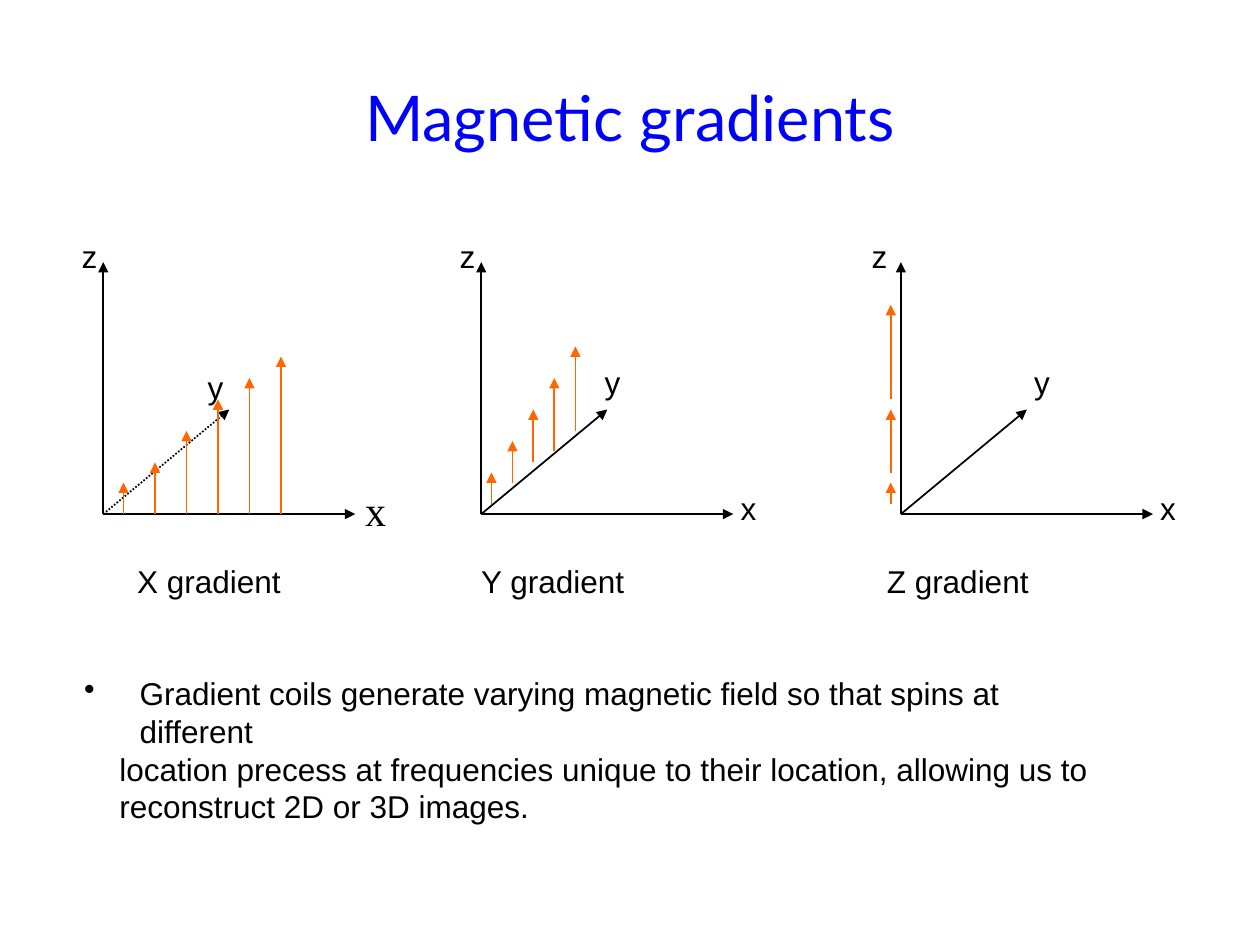
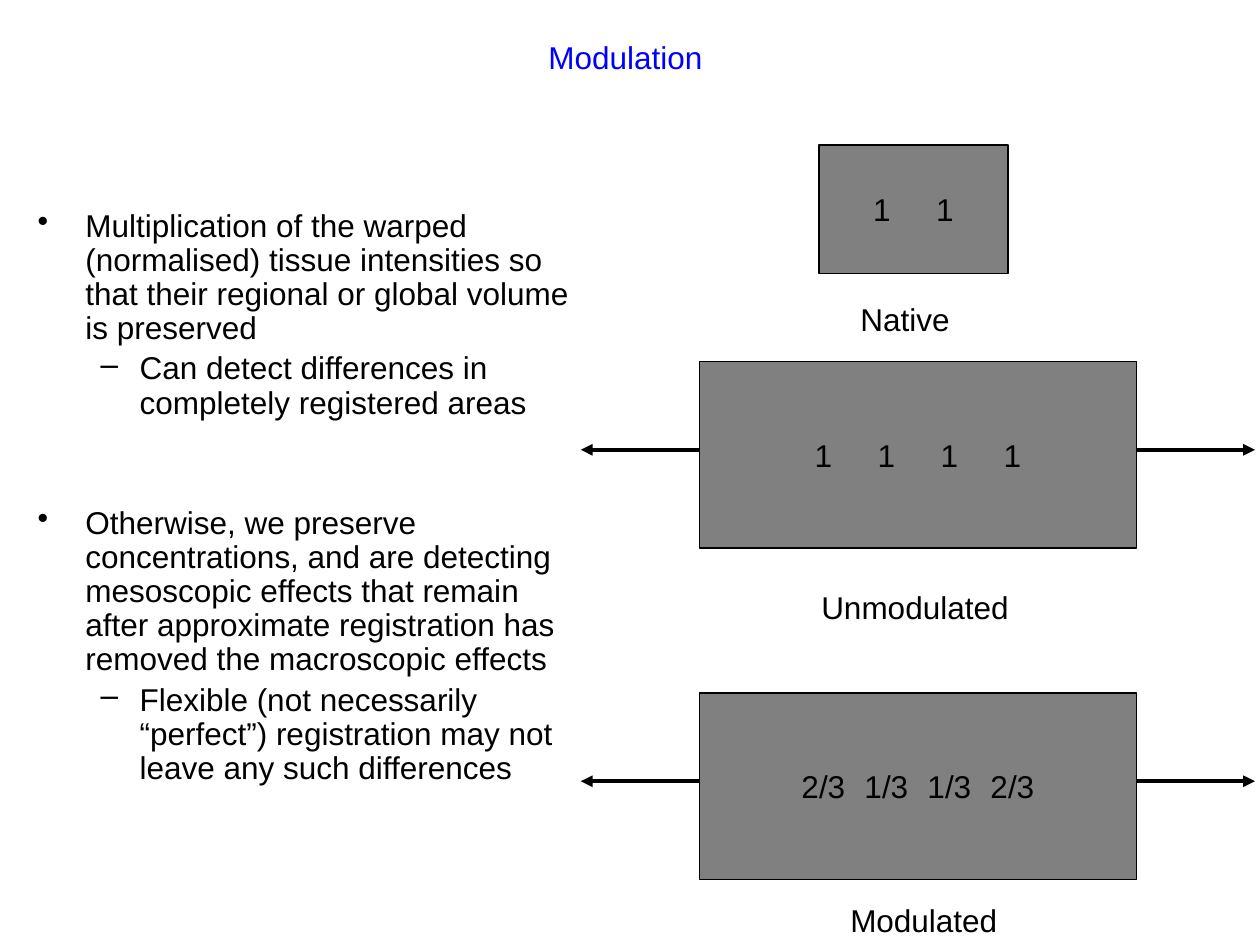
from lxml import etree
from pptx import Presentation
from pptx.dml.color import RGBColor
from pptx.enum.dml import MSO_LINE_DASH_STYLE as Dash
from pptx.enum.shapes import MSO_CONNECTOR as Connector, MSO_SHAPE as Shape
from pptx.enum.text import MSO_ANCHOR as Anchor, PP_ALIGN as Align
from pptx.oxml.ns import qn
from pptx.util import Inches, Pt

BLACK, BLUE, ORANGE, GRAY = "000000", "0000FF", "FF6600", "808080"


def colour(value):
    """Turn a hex string into a colour."""
    return RGBColor.from_string(value)


def add_para(frame, text, size=18, font="Arial", color=BLACK, align=Align.LEFT,
             margin=0, hang=0, bullet=None, before=0, spacing=None, level=0):
    """Write one formatted paragraph, reusing the empty first one."""
    para = frame.paragraphs[0]
    if para.runs:
        para = frame.add_paragraph()
    para.level, para.alignment = level, align
    para.space_before, para.line_spacing = Pt(before), spacing
    props = para._p.get_or_add_pPr()
    props.set("marL", str(Inches(margin)))
    props.set("indent", str(Inches(-hang)))
    if bullet:
        etree.SubElement(props, qn("a:buChar")).set("char", bullet)
    span = para.add_run()
    span.text = text
    span.font.size, span.font.name = Pt(size), font
    span.font.color.rgb = colour(color)


def add_box(page, left, top, width, height, text=None, anchor=Anchor.TOP, **style):
    """Add a wrapping text box and return its text frame."""
    box = page.shapes.add_textbox(*map(Inches, (left, top, width, height)))
    frame = box.text_frame
    frame.word_wrap, frame.vertical_anchor = True, anchor
    if text:
        add_para(frame, text, **style)
    return frame


def add_title(page, text, left, top, width, **style):
    """Add the centred blue slide title."""
    add_box(page, left, top, width, 1.25, text, color=BLUE, align=Align.CENTER, **style)


def add_arrow(page, start, end, color=BLACK, width=1, dash=None):
    """Draw a straight arrow with its head at the end point."""
    points = map(Inches, (*start, *end))
    line = page.shapes.add_connector(Connector.STRAIGHT, *points)
    line.line.color.rgb, line.line.width = colour(color), Pt(width)
    if dash:
        line.line.dash_style = dash
    outline = line.line._get_or_add_ln()
    etree.SubElement(outline, qn("a:tailEnd")).set("type", "triangle")
    etree.SubElement(line._element.spPr, qn("a:effectLst"))


def add_axes(page, x, y, name, name_dx, labels, field, y_dash=None):
    """Draw labelled x, y, z axes at an origin with their field arrows."""
    for dx, rise, dash in ((0, 2, None), (2, 0, None), (1, 0.83, y_dash)):
        add_arrow(page, (x, y), (x + dx, y - rise), dash=dash)
    for dx, base, length in field:
        add_arrow(page, (x + dx, y - base), (x + dx, y - base - length), ORANGE)
    for letter, dx, rise, style in labels:
        add_box(page, x + dx, y - rise, 0.5, 0.4, letter, **style)
    add_box(page, x + name_dx, y + 0.33, 1.8, 0.4, name)


def gradients_slide(page):
    """Build the slide on the three magnetic gradients."""
    add_title(page, "Magnetic gradients", 0.5, 0.3, 9,
              size=36, font="Lato", anchor=Anchor.MIDDLE)
    x_lengths = (0.25, 0.41, 0.66, 0.91, 1.08, 1.25)
    x_field = [(0.16 + 0.25 * i, 0, length) for i, length in enumerate(x_lengths)]
    y_arrows = ((0.08, 0.25), (0.25, 0.33), (0.41, 0.42), (0.5, 0.58), (0.66, 0.67))
    y_field = [(0.08 + i / 6, *arrow) for i, arrow in enumerate(y_arrows)]
    z_field = [(-0.08, 0.08, 0.17), (-0.08, 0.33, 0.5), (-0.08, 0.91, 0.75)]
    serif = {"size": 24, "font": "Times New Roman"}
    origin_y = 4.08
    add_axes(page, 0.82, origin_y, "X gradient", 0.17,
             [("x", 1.98, 0.28, serif), ("y", 0.73, 1.21, {}), ("z", -0.27, 2.25, {})],
             x_field, Dash.ROUND_DOT)
    add_axes(page, 3.82, origin_y, "Y gradient", -0.1,
             [("x", 1.96, 0.25, {}), ("y", 0.88, 1.25, {}), ("z", -0.27, 2.25, {})],
             y_field)
    add_axes(page, 7.15, origin_y, "Z gradient", -0.21,
             [("x", 1.96, 0.25, {}), ("y", 0.96, 1.25, {}), ("z", -0.33, 2.25, {})],
             z_field)
    frame = add_box(page, 0.57, 5.3, 8.36, 1.3)
    add_para(frame, "Gradient coils generate varying magnetic field so that spins at different",
             margin=0.44, hang=0.44, bullet="•")
    for text in ("location precess at frequencies unique to their location, allowing us to",
                 "reconstruct 2D or 3D images."):
        add_para(frame, text, margin=0.28)


def add_tissue(page, left, top, width, height, values, name, name_left, name_top,
               stretched=True):
    """Draw a gray tissue block with its values, caption and stretch arrows."""
    block = page.shapes.add_shape(
        Shape.RECTANGLE, *map(Inches, (left, top, width, height)))
    block.shadow.inherit = False
    block.fill.solid()
    block.fill.fore_color.rgb = colour(GRAY)
    block.line.color.rgb, block.line.width = colour(BLACK), Pt(0.75)
    frame = block.text_frame
    frame.word_wrap, frame.vertical_anchor = False, Anchor.MIDDLE
    add_para(frame, "\t".join(values), align=Align.CENTER)
    if stretched:
        y, right = top + 0.7, left + width
        add_arrow(page, (left, y), (left - 0.94, y), width=2.25)
        add_arrow(page, (right, y), (right + 0.94, y), width=2.25)
    add_box(page, name_left, name_top, 2, 0.4, name)


def modulation_slide(page):
    """Build the slide on modulation."""
    add_title(page, "Modulation", -0.2, 0.25, 10.33)
    frame = add_box(page, 0.2, 1.62, 4.42, 4.95)
    main = {"margin": 0.38, "hang": 0.38, "bullet": "•", "spacing": 0.9}
    sub = {"margin": 0.81, "hang": 0.31, "bullet": "–", "spacing": 0.9,
           "before": 3.6, "level": 1}
    add_para(frame, "Multiplication of the warped (normalised) tissue intensities so that "
             "their regional or global volume is preserved", **main)
    add_para(frame, "Can detect differences in completely registered areas", **sub)
    add_para(frame, "Otherwise, we preserve concentrations, and are detecting mesoscopic "
             "effects that remain after approximate registration has removed the "
             "macroscopic effects", before=49.5, **main)
    add_para(frame, "Flexible (not necessarily “perfect”) registration may not leave any "
             "such differences", **sub)
    add_tissue(page, 6.5, 1.15, 1.5, 1.02, ["1"] * 2, "Native", 6.73, 2.33,
               stretched=False)
    add_tissue(page, 5.55, 2.87, 3.47, 1.48, ["1"] * 4, "Unmodulated", 6.42, 4.62)
    add_tissue(page, 5.55, 5.5, 3.47, 1.48, ["2/3", "1/3", "1/3", "2/3"],
               "Modulated", 6.65, 7.1)


def main():
    """Build and save the deck."""
    deck = Presentation()
    deck.slide_width, deck.slide_height = Inches(10), Inches(7.5)
    for build in (gradients_slide, modulation_slide):
        build(deck.slides.add_slide(deck.slide_layouts[6]))
    deck.save("out.pptx")


if __name__ == "__main__":
    main()
